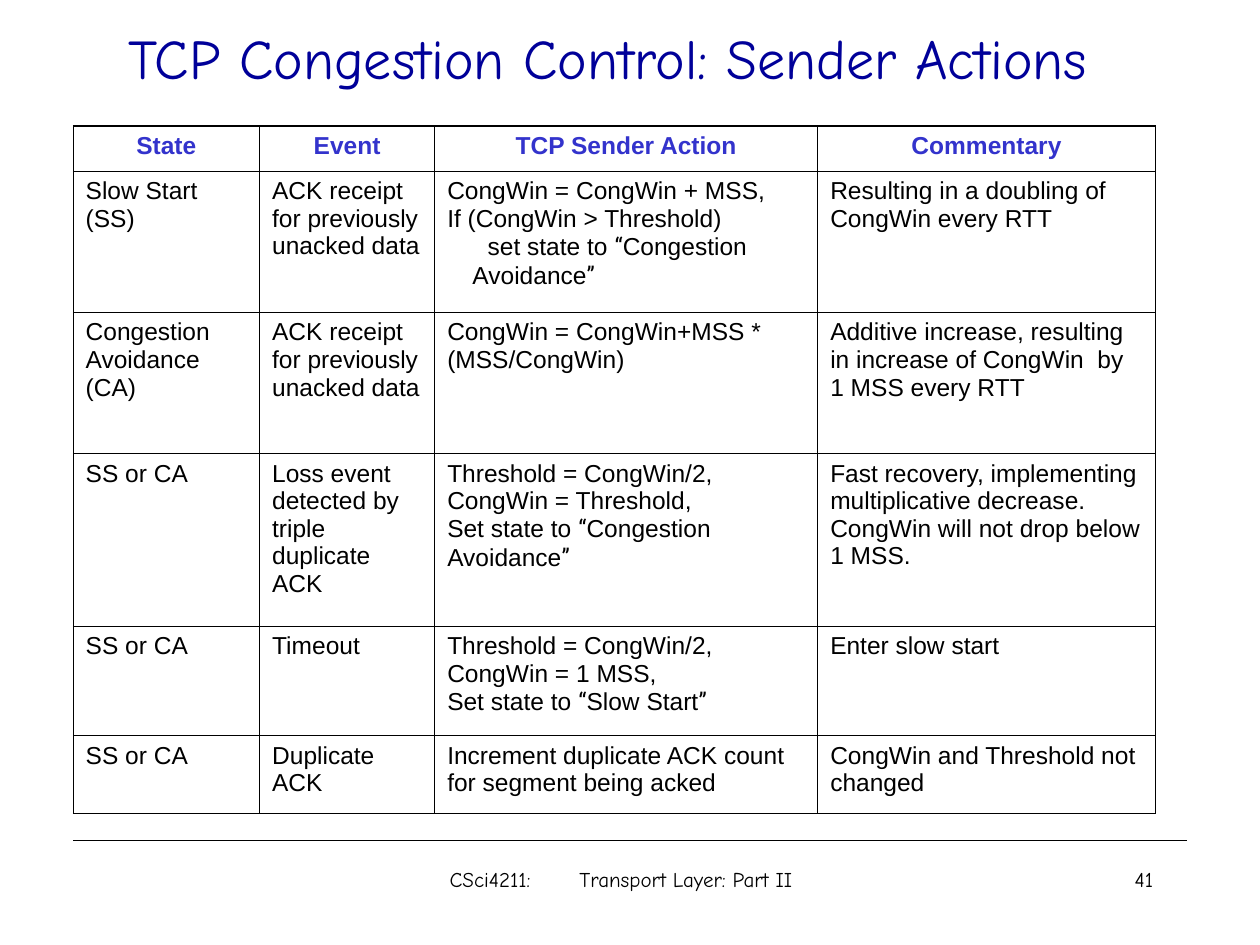
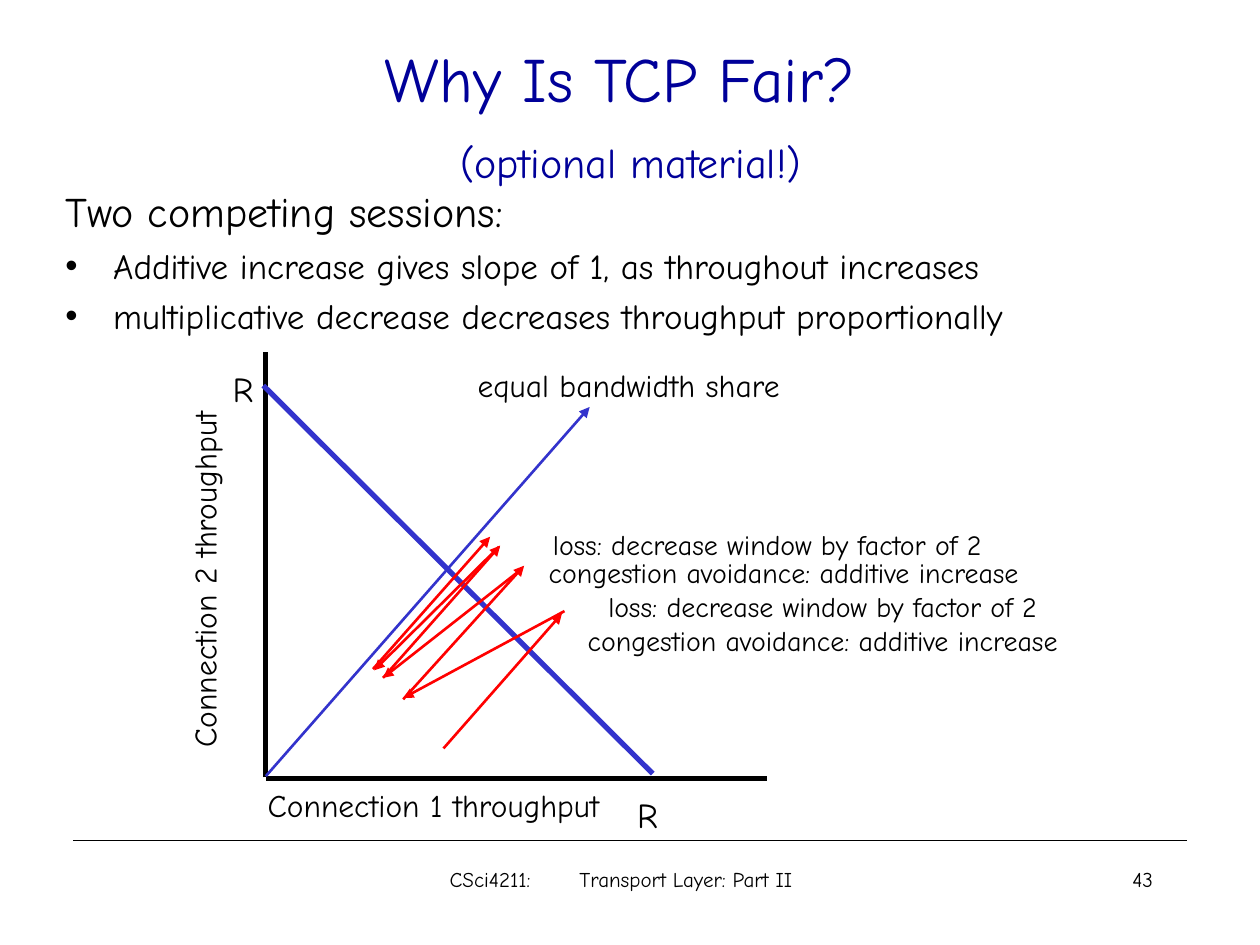
from itertools import groupby

from lxml import etree
from pptx import Presentation
from pptx.dml.color import RGBColor
from pptx.enum import shapes, text
from pptx.oxml import ns
from pptx.util import Inches, Pt

COMIC, QUOTE = "Comic Neue", "Roboto Condensed"
BLACK, NAVY, BLUE, RED = "000000", "000099", "3333CC", "FF0000"
LEFT, MID, RIGHT = text.PP_ALIGN.LEFT, text.PP_ALIGN.CENTER, text.PP_ALIGN.RIGHT


def write(frame, lines, size, hue=BLACK, align=LEFT, name=COMIC, bold=False):
    """Fill a text frame with one paragraph per line; curly quotes get their own font."""
    frame.word_wrap = True
    for i, line in enumerate(lines):
        para = frame.add_paragraph() if i else frame.paragraphs[0]
        para.alignment = align
        for curly, part in groupby(line, lambda c: c in "“”"):
            run = para.add_run()
            run.text = "".join(part)
            look = {"size": Pt(size), "bold": bold, "name": QUOTE if curly else name}
            for key, val in look.items():
                setattr(run.font, key, val)
            run.font.color.rgb = RGBColor.from_string(hue)
    return frame


def draw(slide, ends, hue, width, arrow=False):
    """Add a straight line, with an arrowhead at its end if wanted."""
    line = slide.shapes.add_connector(
        shapes.MSO_CONNECTOR.STRAIGHT, *[Inches(v) for v in ends])
    line.line.color.rgb = RGBColor.from_string(hue)
    line.line.width = Pt(width)
    if arrow:
        etree.SubElement(line.line._get_or_add_ln(), ns.qn("a:tailEnd"), type="triangle")
    etree.SubElement(line._element.spPr, ns.qn("a:effectLst"))


prs = Presentation()
prs.slide_width, prs.slide_height = Inches(10), Inches(7.5)

# Titles, rule and footer
heads = [
    (["TCP Congestion Control: Sender Actions"], 32, (0.58, -0.17, 8.5, 1.25), "41"),
    (["Why Is TCP Fair?", " "], 36, (0.67, 0.5, 8.5, 0.83), "43"),
]
for lines, size, box, num in heads:
    slide = prs.slides.add_slide(prs.slide_layouts[5])
    title = slide.shapes.title
    for key, val in zip(("left", "top", "width", "height"), box):
        setattr(title, key, Inches(val))
    frame = write(title.text_frame, lines, size, NAVY, MID)
    frame.auto_size = text.MSO_AUTO_SIZE.NONE
    frame.vertical_anchor = text.MSO_ANCHOR.MIDDLE
    draw(slide, (0.58, 6.67, 9.42, 6.67), BLACK, 0.75)

    foot = slide.shapes.add_textbox(Inches(3.47), Inches(6.83), Inches(3.11), Inches(0.5))
    props = foot.text_frame.paragraphs[0]._p.get_or_add_pPr()
    tabs = etree.SubElement(props, ns.qn("a:tabLst"))
    etree.SubElement(tabs, ns.qn("a:tab"), pos=str(Inches(1.03)), algn="l")
    write(foot.text_frame, ["CSci4211:\tTransport Layer: Part II"], 12)
    page = slide.shapes.add_textbox(Inches(7.17), Inches(6.83), Inches(2.08), Inches(0.5))
    write(page.text_frame, [num], 12, align=RIGHT)

# Slide 1: sender actions
table_slide, fair = prs.slides
ack = "ACK receipt for previously unacked data"
rows = [
    ["State", "Event", "TCP Sender Action", "Commentary"],
    ["Slow Start (SS)", ack,
     "CongWin = CongWin + MSS,\nIf (CongWin > Threshold)\n"
     "set state to “Congestion Avoidance”",
     "Resulting in a doubling of CongWin every RTT"],
    ["Congestion\nAvoidance (CA)", ack,
     "CongWin = CongWin+MSS * (MSS/CongWin)",
     "Additive increase, resulting in increase of CongWin  by 1 MSS every RTT"],
    ["SS or CA", "Loss event detected by triple duplicate ACK",
     "Threshold = CongWin/2,\nCongWin = Threshold,\nSet state to “Congestion Avoidance”",
     "Fast recovery, implementing multiplicative decrease. "
     "CongWin will not drop below 1 MSS."],
    ["SS or CA", "Timeout",
     "Threshold = CongWin/2,\nCongWin = 1 MSS,\nSet state to “Slow Start”",
     "Enter slow start"],
    ["SS or CA", "Duplicate ACK",
     "Increment duplicate ACK count for segment being acked",
     "CongWin and Threshold not changed"],
]
grid = table_slide.shapes.add_table(
    len(rows), 4, Inches(0.58), Inches(1), Inches(8.59), Inches(5.46)).table
for col, wide in zip(grid.columns, (1.48, 1.39, 3.04, 2.68)):
    col.width = Inches(wide)
for row, high in zip(grid.rows, (0.36, 1.12, 1.12, 1.37, 0.87, 0.62)):
    row.height = Inches(high)
for r, row in enumerate(rows):
    for c, words in enumerate(row):
        cell = grid.cell(r, c)
        top = r == 0
        write(cell.text_frame, words.split("\n"), 14, BLUE if top else BLACK,
              MID if top else LEFT, "Arial", top)
        cell.margin_left = cell.margin_right = Inches(0.1)
        props = cell._tc.get_or_add_tcPr()
        edges = {"lnL": 0.34, "lnR": 0.34, "lnT": 0.96 if top else 0.45,
                 "lnB": 0.96 if r == len(rows) - 1 else 0.45}
        for tag, width in edges.items():
            edge = etree.SubElement(props, ns.qn("a:" + tag), w=str(Pt(width)))
            fill = etree.SubElement(edge, ns.qn("a:solidFill"))
            etree.SubElement(fill, ns.qn("a:srgbClr"), val=BLACK)
        cell.fill.background()
nested = grid.cell(1, 2).text_frame.paragraphs[2]._p.get_or_add_pPr()
nested.set("marL", str(Inches(0.2)))
nested.set("indent", str(Inches(0.12)))

# Slide 2: fairness
note = fair.shapes.title.text_frame.paragraphs[1].add_run()
note.text = "(optional material!)"
note.font.size, note.font.name = Pt(24), COMIC
note.font.color.rgb = RGBColor.from_string(NAVY)

body = fair.shapes.add_textbox(Inches(0.42), Inches(1.42), Inches(9.08), Inches(1.4)).text_frame
write(body, ["Two competing sessions:"], 24)
for point in ("Additive increase gives slope of 1, as throughout increases",
              "multiplicative decrease decreases throughput proportionally"):
    para = body.add_paragraph()
    props = para._p.get_or_add_pPr()
    props.set("marL", str(Inches(0.38)))
    props.set("indent", str(Inches(-0.38)))
    etree.SubElement(props, ns.qn("a:buFont"), typeface="Arial")
    etree.SubElement(props, ns.qn("a:buChar"), char="•")
    para.space_before = Pt(5)
    run = para.add_run()
    run.text = point
    run.font.size, run.font.name = Pt(20), COMIC
    run.font.color.rgb = RGBColor.from_string(BLACK)

draw(fair, (2.11, 6.18, 6.09, 6.18), BLACK, 3)
draw(fair, (2.11, 6.17, 2.11, 2.79), BLACK, 3)
draw(fair, (2.11, 6.16, 4.68, 3.23), BLUE, 1.5, True)
draw(fair, (2.09, 3.06, 5.18, 6.14), BLUE, 3)
steps = [
    (3.52, 5.94, 4.46, 4.87), (4.48, 4.85, 3.2, 5.54),
    (3.2, 5.55, 4.16, 4.49), (4.11, 4.54, 3.04, 5.38),
    (3.04, 5.38, 3.97, 4.33), (3.96, 4.34, 2.97, 5.32),
    (2.96, 5.31, 3.89, 4.26),
]
for step in steps:
    draw(fair, step, RED, 1.5, True)

avoid = "congestion avoidance: additive increase"
loss = "loss: decrease window by factor of 2"
labels = [
    ("R", 20, 4.92, 6.25, 0.44, 0), ("R", 20, 1.71, 2.87, 0.44, 0),
    ("Connection 2 throughput", 18, -0.32, 4.4, 3.88, 270),
    ("Connection 1 throughput", 18, 1.5, 6.19, 3.88, 0),
    ("equal bandwidth share", 18, 3.05, 2.86, 3.88, 0),
    (avoid, 16, 4.05, 4.9, 4.96, 0), (loss, 16, 4.58, 4.63, 3.9, 0),
    (avoid, 16, 3.74, 4.36, 4.96, 0), (loss, 16, 4.14, 4.14, 3.9, 0),
]
for words, size, left, top, wide, turn in labels:
    label = fair.shapes.add_textbox(Inches(left), Inches(top), Inches(wide), Inches(0.4))
    label.rotation = turn
    write(label.text_frame, [words], size, align=MID)

prs.save("out.pptx")
